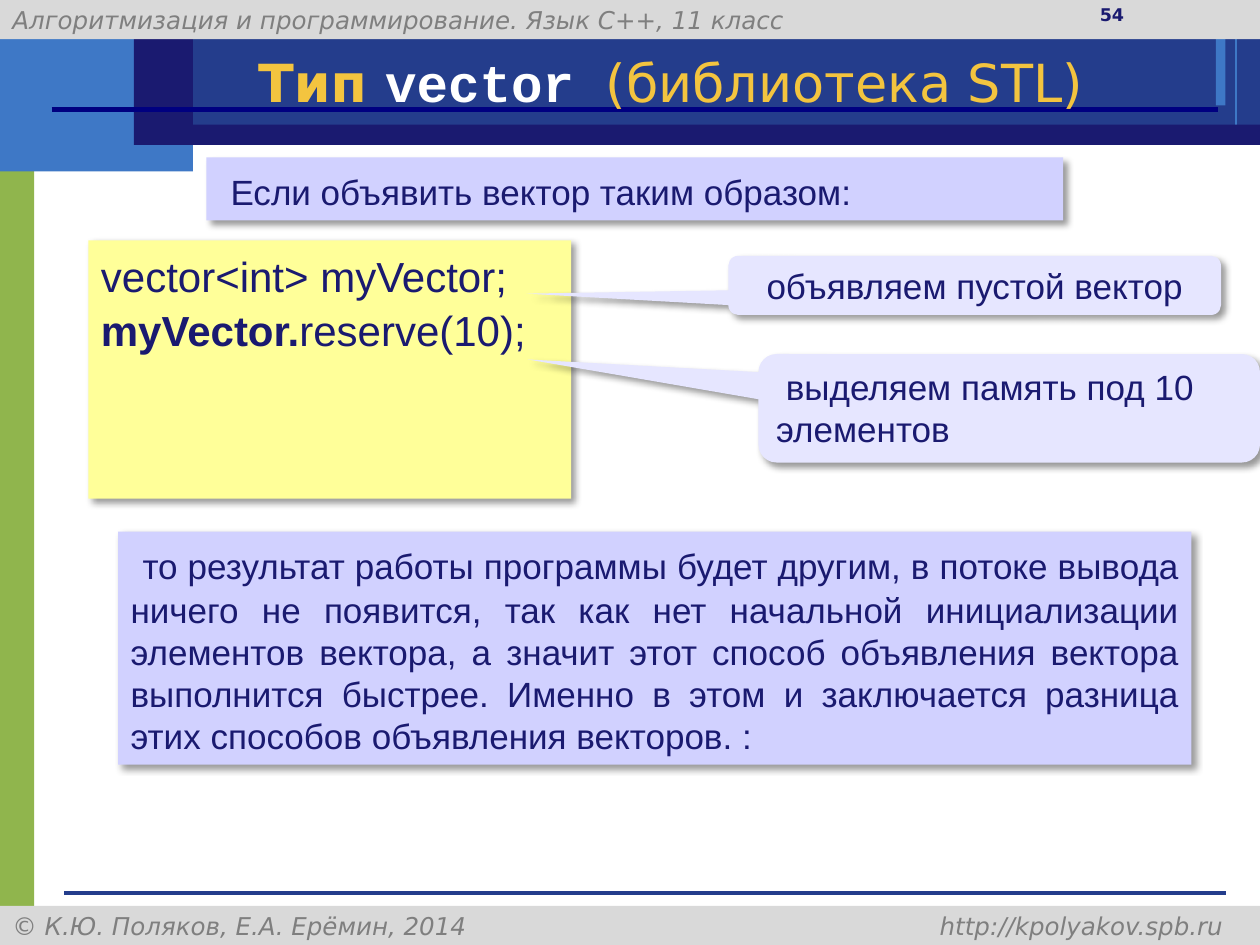
import pptx
import pptx.dml.color
import pptx.enum.shapes
import pptx.enum.text
import pptx.oxml
import pptx.oxml.ns
import pptx.util

Pt = pptx.util.Pt
SHAPE = pptx.enum.shapes.MSO_SHAPE
ALIGN = pptx.enum.text.PP_ALIGN
ANCHOR = pptx.enum.text.MSO_ANCHOR
NS = pptx.oxml.ns.nsdecls("a")

COLORS = {
    "green": "90B54D", "blue": "3E78C6", "royal": "243D8C", "navy": "1A1A70",
    "rule": "000080", "strip": "D9D9D9", "muted": "7F7F7F", "gold": "F3C43F",
    "white": "FFFFFF", "lilac": "D1D1FF", "code": "FFFF99", "callout": "E6E6FF",
}


def rgb(name):
    return pptx.dml.color.RGBColor.from_string(COLORS[name])


def add_box(slide, box, fill=None, line=None, kind=SHAPE.RECTANGLE):
    sp = slide.shapes.add_shape(kind, *(Pt(v) for v in box))
    sp.shadow.inherit = False
    if fill:
        sp.fill.solid()
        sp.fill.fore_color.rgb = rgb(fill)
    else:
        sp.fill.background()
    if line:
        sp.line.color.rgb = rgb(line)
        sp.line.width = Pt(0)
    else:
        sp.line.fill.background()
    return sp


def add_rule(slide, x1, x2, y, color, width):
    line = slide.shapes.add_connector(
        pptx.enum.shapes.MSO_CONNECTOR.STRAIGHT, Pt(x1), Pt(y), Pt(x2), Pt(y))
    line.line.color.rgb = rgb(color)
    line.line.width = Pt(width)
    line._element.spPr.append(pptx.oxml.parse_xml(f"<a:effectLst {NS}/>"))


def add_shadow(sp):
    effects = sp._element.spPr.find(pptx.oxml.ns.qn("a:effectLst"))
    effects.append(pptx.oxml.parse_xml(
        f'<a:outerShdw {NS} blurRad="{Pt(4)}" dist="{Pt(3)}" dir="2700000" '
        'algn="tl" rotWithShape="0"><a:srgbClr val="000000">'
        '<a:alpha val="40000"/></a:srgbClr></a:outerShdw>'))


def write(sp, paragraphs, align=ALIGN.LEFT, anchor=ANCHOR.TOP):
    """Each paragraph is a list of runs: text, size, font, colour, bold, italic."""
    tf = sp.text_frame
    tf.word_wrap = True
    tf.vertical_anchor = anchor
    for i, runs in enumerate(paragraphs):
        p = tf.add_paragraph() if i else tf.paragraphs[0]
        p.alignment = align
        for text, size, font, color, bold, italic in runs:
            r = p.add_run()
            r.text = text
            r.font.size = Pt(size)
            r.font.name = font
            r.font.color.rgb = rgb(color)
            r.font.bold = bold
            r.font.italic = italic
    return tf


def body(text, size=20, bold=False):
    return text, size, "Arial", "navy", bold, False


def add_strip(slide, box, text, right_tab=None):
    sp = add_box(slide, box, "strip")
    tf = write(sp, [[(text, 14, "DejaVu Sans", "muted", False, True)]],
               anchor=ANCHOR.MIDDLE)
    if right_tab:
        tf.paragraphs[0]._p.get_or_add_pPr().append(pptx.oxml.parse_xml(
            f'<a:tabLst {NS}><a:tab pos="{Pt(right_tab)}" algn="r"/></a:tabLst>'))


def add_frame(slide, box):
    x, y, w, h = box
    # Side bar and header blocks
    add_box(slide, (x, y + 77, 19.6, h - 77), "green")
    add_box(slide, (x, y, 110.3, 98), "blue")
    add_box(slide, (x + 110.3, y, w - 110.3, 82.8), "royal")
    add_box(slide, (x + w - 25.2, y, 5.5, 60.2), "blue")
    add_box(slide, (x + 14.4, y + 10.8, 692, 61), line="blue")
    add_rule(slide, x + 36.7, x + w - 19.4, y + h - 29.6, "royal", 0)
    add_box(slide, (x + 93.6, y + 71.3, w - 93.6, 11.5), "navy")
    add_box(slide, (x + 76.5, y, 33.8, 82.8), "navy")
    # Header and footer strips
    strip = 22.4
    add_strip(slide, (x, y, w, strip),
              "Алгоритмизация и программирование. Язык C++, 11 класс")
    add_strip(slide, (x, y + h - strip, w, strip),
              "© К.Ю. Поляков, Е.А. Ерёмин, 2014 \thttp://kpolyakov.spb.ru", 692)
    add_rule(slide, x + 29.5, x + w - 23.8, y + 62.5, "rule", 3)


def add_heading(slide, title_box, number_box):
    sp = slide.shapes.add_textbox(*(Pt(v) for v in title_box))
    write(sp, [[("Тип ", 30, "DejaVu Sans", "gold", True, False),
                ("vector ", 30, "Courier New", "white", True, False),
                ("(библиотека STL)", 30, "DejaVu Sans", "gold", False, False)]],
          anchor=ANCHOR.MIDDLE)
    sp = slide.shapes.add_textbox(*(Pt(v) for v in number_box))
    write(sp, [[("54", 10, "DejaVu Sans", "navy", True, False)]], ALIGN.CENTER)


def add_note(slide, box, text, align=ALIGN.LEFT):
    sp = add_box(slide, box, "lilac")
    add_shadow(sp)
    write(sp, [[body(" ", 24), body(text)]], align)


def add_code(slide, box):
    sp = add_box(slide, box, "code")
    add_shadow(sp)
    tf = write(sp, [[body("vector<int> myVector;", 24)],
                    [body("myVector.", 24, True), body("reserve(10);", 24)]])
    tf.margin_top = Pt(6)
    tf.paragraphs[0].space_after = Pt(2)


def add_callout(slide, box, tip, text, align=ALIGN.LEFT):
    """tip is the pointer's end, relative to the box centre in box sizes."""
    sp = add_box(slide, box, "callout", kind=SHAPE.ROUNDED_RECTANGULAR_CALLOUT)
    sp.adjustments[0], sp.adjustments[1] = tip
    add_shadow(sp)
    write(sp, [[body(text)]], align)


def main():
    prs = pptx.Presentation()
    prs.slide_width, prs.slide_height = Pt(720), Pt(540)
    s = prs.slides.add_slide(prs.slide_layouts[6])

    add_frame(s, (0, 0, 720, 540))
    add_heading(s, (140.4, 28.1, 566, 37.4), (551.5, -1.4, 167.8, 37.4))
    add_note(s, (118, 90, 489.6, 36), "Если объявить вектор таким образом:")
    add_code(s, (50.6, 137.3, 275.8, 147.6))
    add_callout(s, (416.2, 146.2, 281.5, 33.8), (-0.91, 0.14),
                "объявляем пустой вектор", ALIGN.CENTER)
    add_callout(s, (433.4, 202.3, 286.6, 62), (-0.96, -0.45),
                " выделяем память под 10 элементов")
    add_note(s, (67.5, 303.8, 613.4, 133.2),
             "то результат работы программы будет другим, в потоке вывода "
             "ничего не появится, так как нет начальной инициализации "
             "элементов вектора, а значит этот способ объявления вектора "
             "выполнится быстрее. Именно в этом и заключается разница этих "
             "способов объявления векторов. :", ALIGN.JUSTIFY)
    prs.save("out.pptx")


if __name__ == "__main__":
    main()
